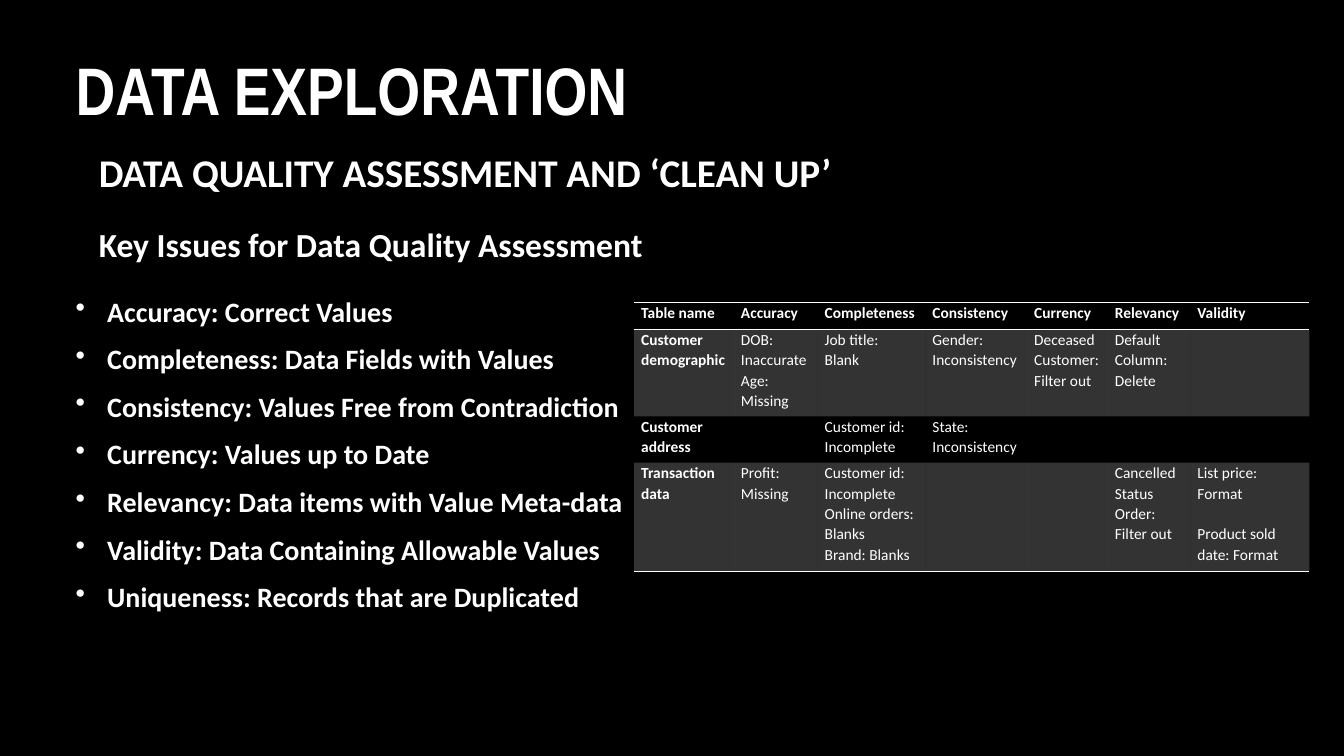
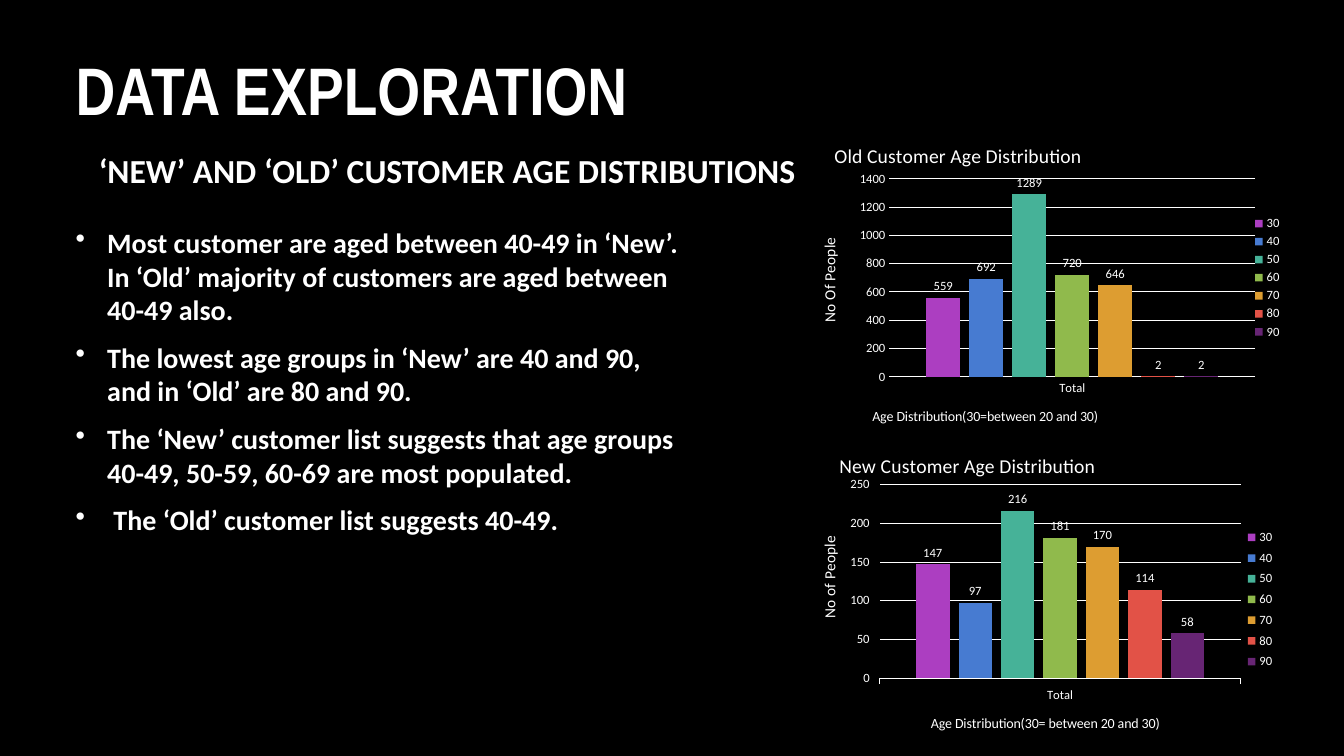
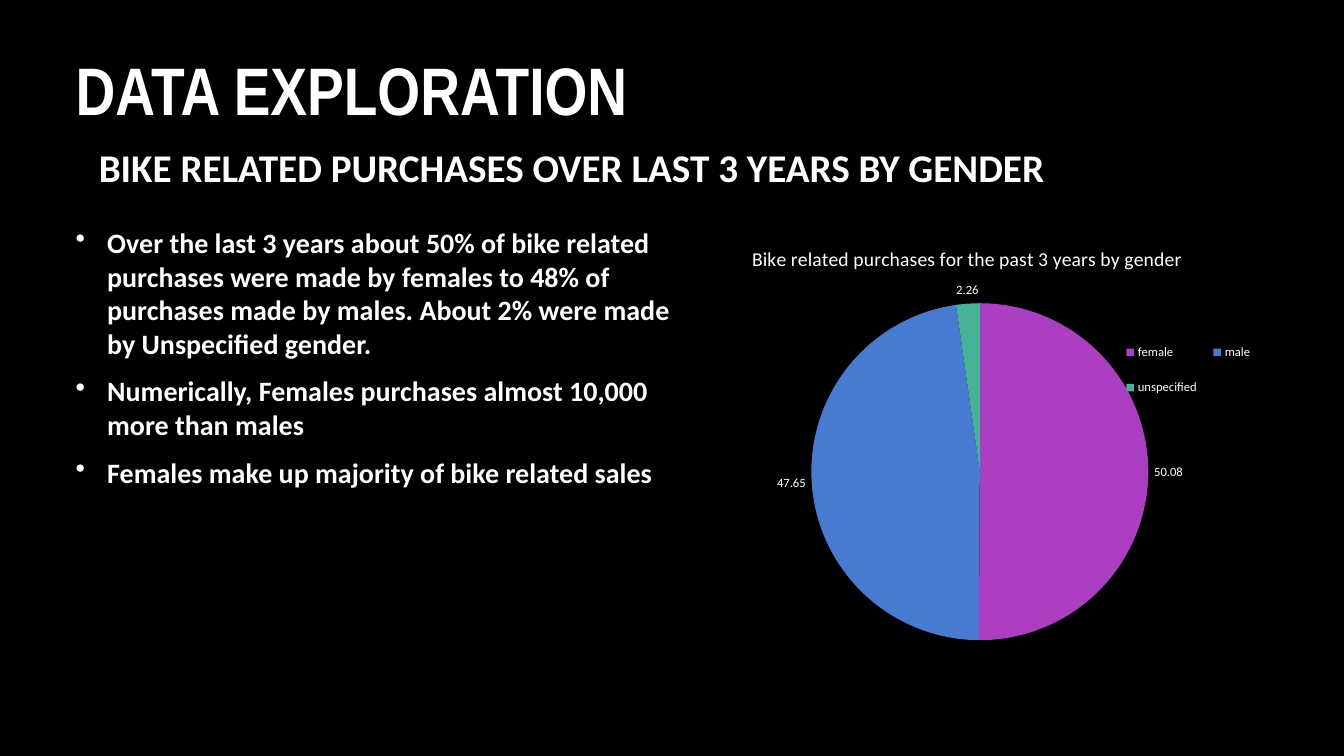
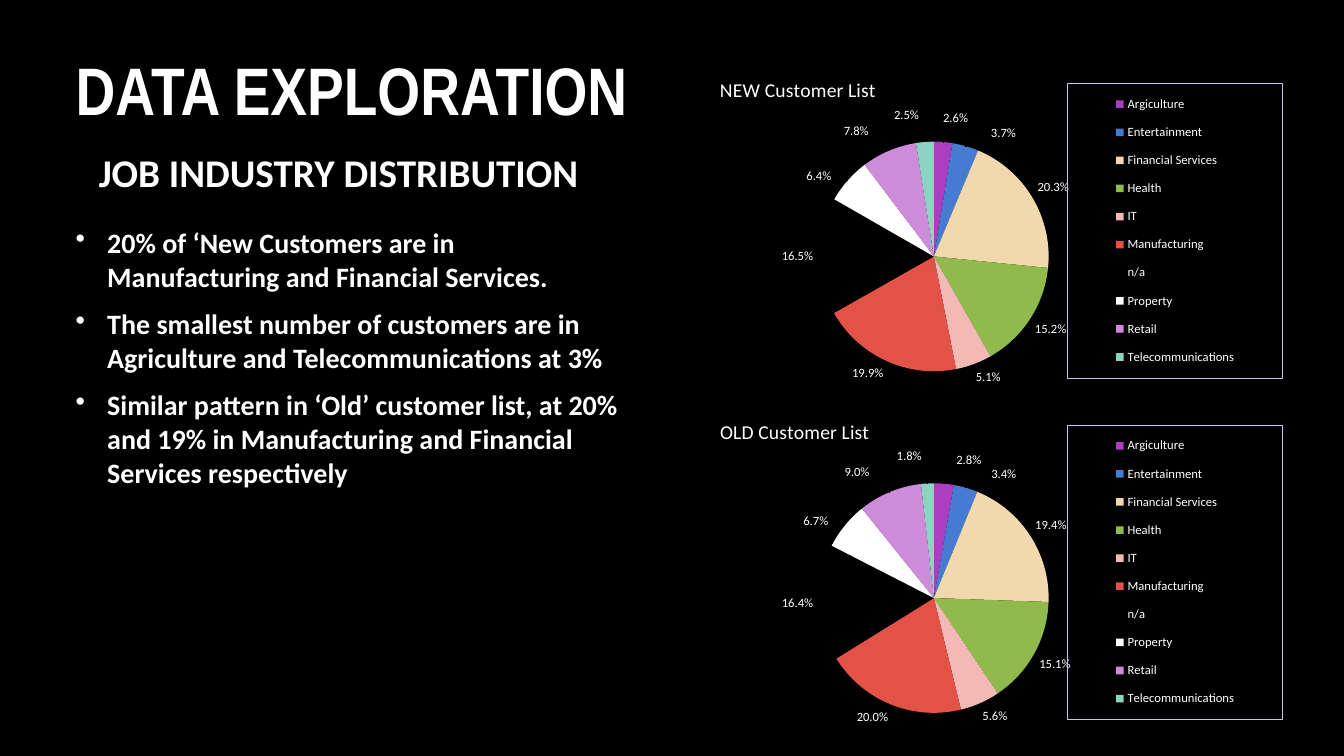
"""Build four data exploration slides with bullets, a table and charts."""
import lxml.etree
import pptx
import pptx.chart.data
import pptx.dml.color
import pptx.enum.chart
import pptx.enum.text
import pptx.oxml.ns
import pptx.util

Pt = pptx.util.Pt
RGBColor = pptx.dml.color.RGBColor
qn = pptx.oxml.ns.qn
ChartType = pptx.enum.chart.XL_CHART_TYPE
TickMark = pptx.enum.chart.XL_TICK_MARK
LabelPosition = pptx.enum.chart.XL_LABEL_POSITION

BLACK = RGBColor(0x00, 0x00, 0x00)
WHITE = RGBColor(0xFF, 0xFF, 0xFF)
PURPLE = RGBColor(0xAC, 0x3E, 0xC1)
BLUE = RGBColor(0x47, 0x7B, 0xD1)
TEAL = RGBColor(0x46, 0xB2, 0x98)
GREEN = RGBColor(0x90, 0xBA, 0x4C)
ORANGE = RGBColor(0xDD, 0x9D, 0x31)
RED = RGBColor(0xE2, 0x52, 0x47)
DARK_PURPLE = RGBColor(0x67, 0x25, 0x74)
SAND = RGBColor(0xF1, 0xD8, 0xAD)
PINK = RGBColor(0xF3, 0xBA, 0xB5)
LILAC = RGBColor(0xCD, 0x8B, 0xDA)
MINT = RGBColor(0x8E, 0xD3, 0xC2)
LAVENDER = RGBColor(0xC4, 0xC4, 0xF4)

AGE_COLORS = [PURPLE, BLUE, TEAL, GREEN, ORANGE, RED, DARK_PURPLE]
AGE_GROUPS = ["30", "40", "50", "60", "70", "80", "90"]
GENDER_COLORS = [PURPLE, BLUE, TEAL]
INDUSTRY_COLORS = [PURPLE, BLUE, SAND, GREEN, PINK, RED, BLACK, WHITE, LILAC, MINT]
INDUSTRIES = ["Argiculture", "Entertainment", "Financial Services", "Health", "IT",
              "Manufacturing", "n/a", "Property", "Retail", "Telecommunications"]
INDUSTRY_LABEL_OFFSETS = {0: (0.02, -0.03), 1: (0.04, 0), 7: (-0.02, 0.02),
                          8: (-0.03, -0.02), 9: (-0.03, -0.04)}

BODY_FONT = "Calibri"
TITLE_FONT = "Arial Narrow"
NO_TABLE_STYLE = "{2D5ABB26-0587-4C30-8999-92F81FD0307C}"
LAYOUT_PREDECESSORS = {qn("c:tx"), qn("c:legendPos"), qn("c:idx")}

QUALITY_ROWS = [
    ["Table name", "Accuracy", "Completeness", "Consistency", "Currency", "Relevancy",
     "Validity"],
    ["Customer demographic", "DOB:\nInaccurate\nAge:\nMissing", "Job title:\nBlank",
     "Gender:\nInconsistency", "Deceased\nCustomer:\nFilter out",
     "Default\nColumn:\nDelete", ""],
    ["Customer address", "", "Customer id:\nIncomplete", "State:\nInconsistency", "", "", ""],
    ["Transaction data", "Profit:\nMissing",
     "Customer id:\nIncomplete\nOnline orders:\nBlanks\nBrand: Blanks", "", "",
     "Cancelled\nStatus\nOrder:\nFilter out",
     "List price: Format\nProduct sold date: Format"],
]


def style_font(font, size, bold=False, name=BODY_FONT):
    font.name, font.size, font.bold = name, Pt(size), bold
    font.color.rgb = WHITE


def add_text(slide, box, text, size, name=BODY_FONT, line_spacing=None, middle=False):
    shape = slide.shapes.add_textbox(*map(Pt, box))
    frame = shape.text_frame
    frame.word_wrap = True
    if middle:
        frame.vertical_anchor = pptx.enum.text.MSO_ANCHOR.MIDDLE
    frame.text = text
    for paragraph in frame.paragraphs:
        style_font(paragraph.font, size, True, name)
        if line_spacing:
            paragraph.line_spacing = line_spacing
    return frame


def add_bullets(slide, top, width, height, lines):
    frame = add_text(slide, (47, top, width, height), "\n".join(lines), 20)
    for paragraph in frame.paragraphs:
        paragraph.space_after = Pt(10)
        properties = paragraph._p.get_or_add_pPr()
        properties.set("marL", str(Pt(22.5)))
        properties.set("indent", str(-Pt(22.5)))
        color = lxml.etree.Element(qn("a:buClr"))
        lxml.etree.SubElement(color, qn("a:srgbClr"), val=str(WHITE))
        bullet = lxml.etree.Element(qn("a:buChar"), char="•")
        default_font = properties.find(qn("a:defRPr"))
        default_font.addprevious(color)
        default_font.addprevious(bullet)


def add_titled_slide(presentation, subtitle, width, height=49, size=28):
    slide = presentation.slides.add_slide(presentation.slide_layouts[6])
    add_text(slide, (47, 42.5, 780, 57.5), "DATA EXPLORATION", 48, TITLE_FONT, 0.8)
    add_text(slide, (63.5, 100, width, height), subtitle, size, line_spacing=0.9, middle=True)
    return slide


def make_line(tag, color, width):
    line = lxml.etree.Element(qn(tag), w=str(Pt(width)))
    fill = lxml.etree.SubElement(line, qn("a:solidFill"))
    lxml.etree.SubElement(fill, qn("a:srgbClr"), val=str(color))
    return line


def style_cell(cell, text, bold, shaded, borders):
    cell.margin_left = cell.margin_right = Pt(5)
    cell.margin_top = cell.margin_bottom = 0
    cell.text_frame.text = text
    for paragraph in cell.text_frame.paragraphs:
        paragraph.line_spacing = 1.07
        style_font(paragraph.font, 11, bold)
    properties = cell._tc.get_or_add_tcPr()
    if shaded:
        cell.fill.solid()
        cell.fill.fore_color.rgb = WHITE
        color = properties.find(".//" + qn("a:srgbClr"))
        lxml.etree.SubElement(color, qn("a:alpha"), val="20000")
    else:
        cell.fill.background()
    for index, tag in enumerate(borders):
        properties.insert(index, make_line(tag, WHITE, 1))


def add_quality_table(slide):
    widths = [71.3, 59.8, 77, 72.7, 57.6, 59, 85]
    heights = [19.4, 62, 33.1, 77.8]
    borders = [["a:lnT", "a:lnB"], [], [], ["a:lnB"]]
    shape = slide.shapes.add_table(len(heights), len(widths), Pt(453), Pt(216),
                                   Pt(sum(widths)), Pt(sum(heights)))
    shape.element.find(".//" + qn("a:tableStyleId")).text = NO_TABLE_STYLE
    table = shape.table
    table.first_row = table.horz_banding = False
    for column, width in zip(table.columns, widths):
        column.width = Pt(width)
    for row, height in zip(table.rows, heights):
        row.height = Pt(height)
    for i, texts in enumerate(QUALITY_ROWS):
        for j, text in enumerate(texts):
            style_cell(table.cell(i, j), text, i == 0 or j == 0, i % 2 == 1, borders[i])
    table.cell(3, 6).text_frame.paragraphs[1].space_before = Pt(14.5)


def place(chart, query, x, y, width=None, height=None, mode="edge"):
    element = chart.element.xpath(query)[0]
    for old in element.findall(qn("c:layout")):
        element.remove(old)
    layout = lxml.etree.Element(qn("c:layout"))
    manual = lxml.etree.SubElement(layout, qn("c:manualLayout"))
    settings = [("xMode", mode), ("yMode", mode), ("x", x), ("y", y),
                ("w", width), ("h", height)]
    if element.tag == qn("c:plotArea"):
        settings.insert(0, ("layoutTarget", "inner"))
    for tag, value in settings:
        if value is not None:
            lxml.etree.SubElement(manual, qn("c:" + tag), val=str(value))
    element.insert(sum(child.tag in LAYOUT_PREDECESSORS for child in element), layout)


def set_title(owner, text, size):
    owner.text_frame.text = text
    style_font(owner.text_frame.paragraphs[0].font, size)


def add_chart(slide, kind, box, data, title, title_at, plot_at, legend_at):
    chart = slide.shapes.add_chart(kind, *map(Pt, box), data).chart
    style_font(chart.font, 10)
    chart.has_title = True
    set_title(chart.chart_title, title, 14)
    chart.has_legend = True
    chart.legend.position = pptx.enum.chart.XL_LEGEND_POSITION.RIGHT
    chart.legend.include_in_layout = False
    style_font(chart.legend.font, 9)
    place(chart, "c:chart/c:title", *title_at)
    place(chart, "c:chart/c:plotArea", *plot_at)
    place(chart, "c:chart/c:legend", *legend_at)
    return chart


def style_labels(labels, number_format):
    labels.show_value = True
    labels.position = LabelPosition.OUTSIDE_END
    labels.number_format = number_format
    labels.number_format_is_linked = False
    style_font(labels.font, 9)


def style_axis(axis, title, size, tick_mark):
    axis.has_title = True
    set_title(axis.axis_title, title, size)
    axis.major_tick_mark = tick_mark
    axis.minor_tick_mark = TickMark.NONE
    style_font(axis.tick_labels.font, 9)


def add_age_chart(slide, box, values, title, axis_titles, tick_mark, scale, places):
    data = pptx.chart.data.CategoryChartData()
    data.categories = ["Total"]
    for group, value in zip(AGE_GROUPS, values):
        data.add_series(group, [value])
    chart = add_chart(slide, ChartType.COLUMN_CLUSTERED, box, data, title,
                      places["title"], places["plot"], places["legend"])
    plot = chart.plots[0]
    plot.gap_width, plot.overlap, plot.vary_by_categories = 219, -27, False
    for series, color in zip(plot.series, AGE_COLORS):
        series.format.fill.solid()
        series.format.fill.fore_color.rgb = color
        style_labels(series.data_labels, "General")
    category_axis, value_axis = chart.category_axis, chart.value_axis
    style_axis(category_axis, axis_titles[0], 10, tick_mark)
    style_axis(value_axis, axis_titles[1], 11, tick_mark)
    value_axis.minimum_scale = 0
    value_axis.maximum_scale, value_axis.major_unit = scale
    value_axis.format.line.fill.background()
    for line in (category_axis.format.line, value_axis.major_gridlines.format.line):
        line.color.rgb = WHITE
        line.width = Pt(0.75)
    chart.element.xpath(".//c:valAx/c:title//a:bodyPr")[0].set("rot", "-5400000")
    place(chart, ".//c:catAx/c:title", *places["category"])
    place(chart, ".//c:valAx/c:title", *places["value"])


def add_pie(slide, box, categories, values, colors, number_format, title, **places):
    data = pptx.chart.data.CategoryChartData(number_format=number_format)
    data.categories = categories
    data.add_series("Series 1", values)
    chart = add_chart(slide, ChartType.PIE, box, data, title, **places)
    series = chart.plots[0].series[0]
    for index, color in enumerate(colors):
        point = series.points[index]
        point.format.fill.solid()
        point.format.fill.fore_color.rgb = color
        point.format.line.fill.background()
    style_labels(series.data_labels, number_format)
    return chart


def add_industry_pie(slide, top, values, title):
    chart = add_pie(slide, (499, top, 425.5, 244.8), INDUSTRIES, values, INDUSTRY_COLORS,
                    "0.0%", title, title_at=(0.03, 0.04),
                    plot_at=(0.2, 0.24, 0.39, 0.67), legend_at=(0.62, 0.07, 0.36, 0.86))
    series = chart.plots[0].series[0]
    for index, offset in INDUSTRY_LABEL_OFFSETS.items():
        label = series.points[index].data_label
        label.position = LabelPosition.OUTSIDE_END
        style_font(label.font, 9)
        place(chart, f".//c:dLbl[c:idx/@val='{index}']", *offset, mode="factor")
    frame = lxml.etree.Element(qn("c:spPr"))
    frame.append(make_line("a:ln", LAVENDER, 0.75))
    chart.element.xpath("c:chart/c:legend/c:txPr")[0].addprevious(frame)


def build_quality_slide(presentation):
    slide = add_titled_slide(presentation, "DATA QUALITY ASSESSMENT AND ‘CLEAN UP’", 798)
    heading = add_text(slide, (63.5, 150.5, 420.5, 34),
                       "Key Issues for Data Quality Assessment", 24, line_spacing=1.2)
    heading.paragraphs[0].space_before = Pt(10)
    add_bullets(slide, 206.5, 425, 249, [
        "Accuracy: Correct Values",
        "Completeness: Data Fields with Values",
        "Consistency: Values Free from Contradiction",
        "Currency: Values up to Date",
        "Relevancy: Data items with Value Meta-data",
        "Validity: Data Containing Allowable Values",
        "Uniqueness: Records that are Duplicated",
    ])
    add_quality_table(slide)


def build_age_slide(presentation):
    slide = add_titled_slide(presentation, "‘NEW’ AND ‘OLD’ CUSTOMER AGE DISTRIBUTIONS",
                             517.5, 46, 24)
    add_bullets(slide, 157.5, 448.5, 262, [
        "Most customer are aged between 40-49 in ‘New’. In ‘Old’ majority of customers "
        "are aged between 40-49 also.",
        "The lowest age groups in ‘New’ are 40 and 90, and in ‘Old’ are 80 and 90.",
        "The ‘New’ customer list suggests that age groups 40-49, 50-59, 60-69 are most "
        "populated.",
        " The ‘Old’ customer list suggests 40-49.",
    ])
    add_age_chart(slide, (572.5, 88, 348.5, 221), [559, 692, 1289, 720, 646, 2, 2],
                  "Old Customer Age Distribution",
                  ("Age Distribution(30=between 20 and 30)", "No Of People"),
                  TickMark.NONE, (1400, 200),
                  {"title": (0.06, 0.05), "plot": (0.18, 0.18, 0.75, 0.64),
                   "legend": (0.92, 0.29, 0.07, 0.42),
                   "category": (0.14, 0.91), "value": (0.03, 0.36)})
    add_age_chart(slide, (572.5, 309.5, 348.5, 216), [147, 97, 216, 181, 170, 114, 58],
                  "New Customer Age Distribution",
                  ("Age Distribution(30= between 20 and 30)", "No of People"),
                  TickMark.OUTSIDE, (250, 50),
                  {"title": (0.07, 0.05), "plot": (0.16, 0.17, 0.74, 0.64),
                   "legend": (0.9, 0.3, 0.08, 0.5),
                   "category": (0.26, 0.92), "value": (0.03, 0.33)})


def build_gender_slide(presentation):
    slide = add_titled_slide(presentation,
                             "BIKE RELATED PURCHASES OVER LAST 3 YEARS BY GENDER", 729.5, 43)
    add_pie(slide, (526.5, 157.5, 408, 309.5), ["female", "male", "unspecified"],
            [50.08, 47.65, 2.26], GENDER_COLORS, "0.00",
            "Bike related purchases for the past 3 years by gender",
            title_at=(0.02, 0.05), plot_at=(0.13, 0.19, 0.59, 0.78),
            legend_at=(0.66, 0.24, 0.26, 0.21))
    add_bullets(slide, 157.5, 448.5, 262, [
        "Over the last 3 years about 50% of bike related purchases were made by females "
        "to 48% of purchases made by males. About 2% were made by Unspecified gender.",
        "Numerically, Females purchases almost 10,000 more than males",
        "Females make up majority of bike related sales",
    ])


def build_industry_slide(presentation):
    slide = add_titled_slide(presentation, "JOB INDUSTRY DISTRIBUTION", 379.5)
    add_bullets(slide, 157.5, 407, 262, [
        "20% of ‘New Customers are in Manufacturing and Financial Services.",
        "The smallest number of customers are in Agriculture and Telecommunications at 3%",
        "Similar pattern in ‘Old’ customer list, at 20% and 19% in Manufacturing and "
        "Financial Services respectively",
    ])
    add_industry_pie(slide, 286.5, [0.028, 0.034, 0.194, 0.151, 0.056, 0.2, 0.164, 0.067,
                                    0.09, 0.018], "OLD Customer List")
    add_industry_pie(slide, 42.5, [0.026, 0.037, 0.203, 0.152, 0.051, 0.199, 0.165, 0.064,
                                   0.078, 0.025], "NEW Customer List")


def main():
    presentation = pptx.Presentation()
    presentation.slide_width, presentation.slide_height = Pt(960), Pt(540)
    background = presentation.slide_master.background.fill
    background.solid()
    background.fore_color.rgb = BLACK
    build_quality_slide(presentation)
    build_age_slide(presentation)
    build_gender_slide(presentation)
    build_industry_slide(presentation)
    presentation.save("out.pptx")


if __name__ == "__main__":
    main()
